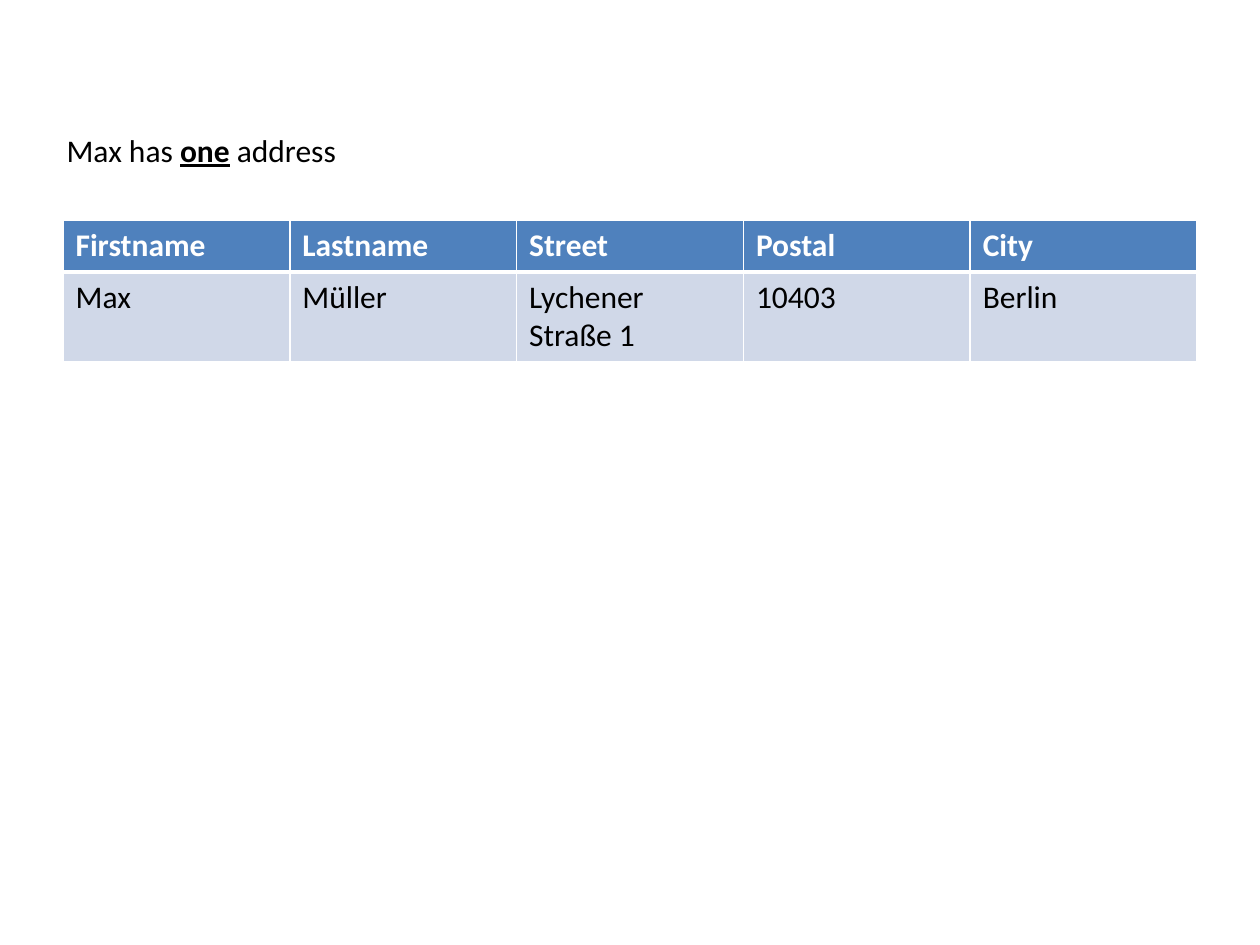
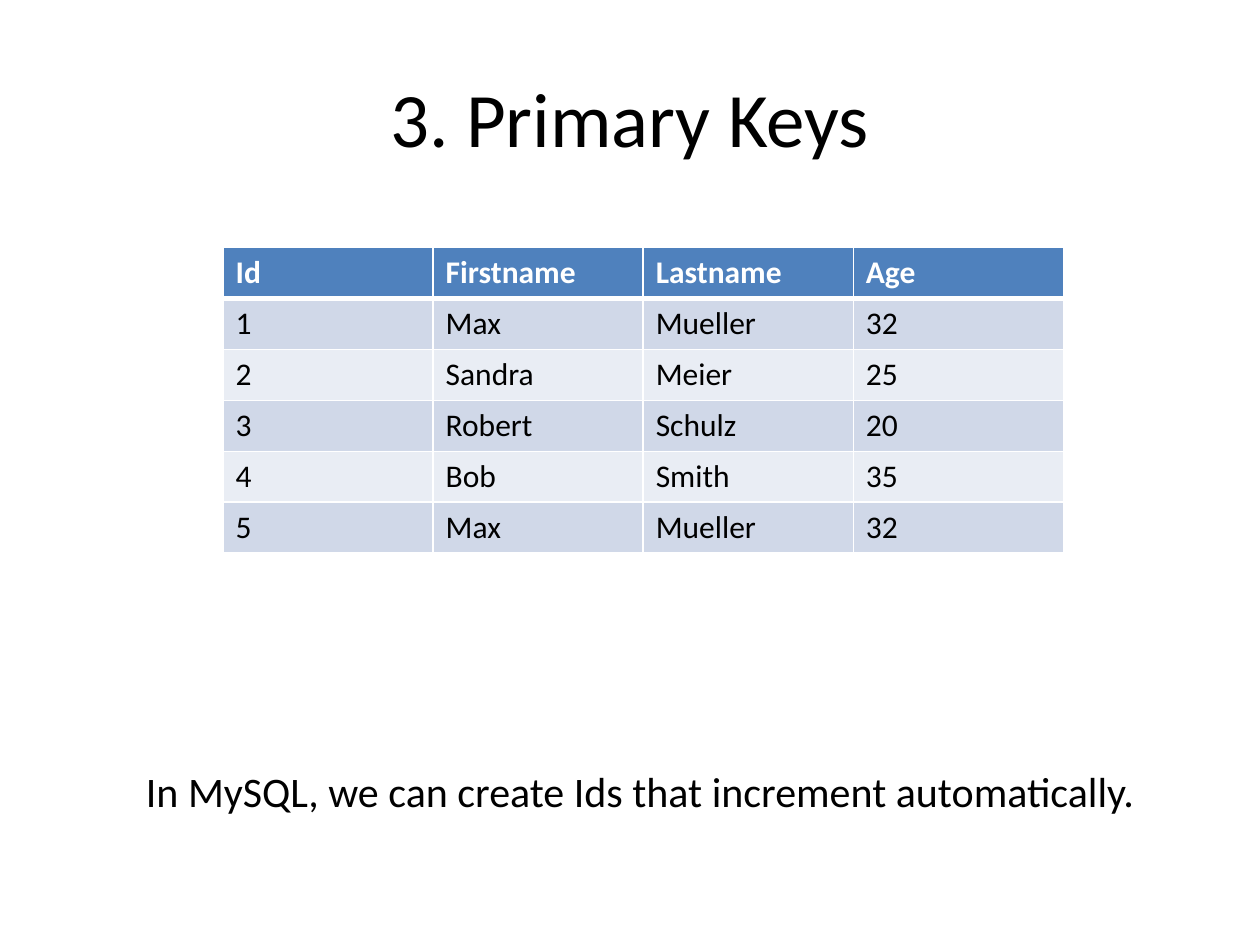
from lxml import etree
from pptx import Presentation
from pptx import util as u
from pptx.dml.color import RGBColor
from pptx.enum import text
from pptx.oxml.ns import qn

FONT = "Calibri"
BLACK, WHITE = "000000", "FFFFFF"
HEADER_FILL = "4F81BD"
BAND_FILLS = ("D0D8E8", "E9EDF4")
HEADER_HEIGHT = 0.41

ADDRESS_ROWS = [
    ("Firstname", "Lastname", "Street", "Postal", "City"),
    ("Max", "Müller", "Lychener Straße 1", "10403", "Berlin"),
]
PERSON_ROWS = [
    ("Id", "Firstname", "Lastname", "Age"),
    ("1", "Max", "Mueller", "32"),
    ("2", "Sandra", "Meier", "25"),
    ("3", "Robert", "Schulz", "20"),
    ("4", "Bob", "Smith", "35"),
    ("5", "Max", "Mueller", "32"),
]


def rgb(value):
    return RGBColor.from_string(value)


def write(paragraph, words, size=18, color=BLACK, bold=False, underline=False):
    run = paragraph.add_run()
    run.text = words
    font = run.font
    font.name, font.size = FONT, u.Pt(size)
    font.bold, font.underline = bold, underline
    font.color.rgb = rgb(color)


def add_line(slide, box, parts, size, align=text.PP_ALIGN.LEFT,
             anchor=text.MSO_ANCHOR.TOP, wrap=False):
    """Add one line of text; parts are pairs of words and their own format."""
    frame = slide.shapes.add_textbox(*map(u.Inches, box)).text_frame
    frame.word_wrap = wrap
    frame.vertical_anchor = anchor
    if not wrap:
        frame.auto_size = text.MSO_AUTO_SIZE.SHAPE_TO_FIT_TEXT
    paragraph = frame.paragraphs[0]
    paragraph.alignment = align
    for words, style in parts:
        write(paragraph, words, size=size, **style)


def add_title(slide, words):
    add_line(slide, (0.5, 0.3, 9, 1.25), [(words, {})], 44,
             align=text.PP_ALIGN.CENTER, anchor=text.MSO_ANCHOR.MIDDLE, wrap=True)


def set_borders(cell, bottom):
    properties = cell._tc.get_or_add_tcPr()
    for side, width in (("L", 1), ("R", 1), ("T", 1), ("B", bottom)):
        line = etree.SubElement(properties, qn("a:ln" + side), w=str(u.Pt(width)))
        fill = etree.SubElement(line, qn("a:solidFill"))
        etree.SubElement(fill, qn("a:srgbClr"), val=WHITE)


def add_data_table(slide, box, rows):
    """Add a table with a header row, equal columns and banded equal body rows."""
    left, top, width, height = box
    table = slide.shapes.add_table(
        len(rows), len(rows[0]), *map(u.Inches, box)).table
    for column in table.columns:
        column.width = u.Inches(width / len(rows[0]))
    body_height = (height - HEADER_HEIGHT) / (len(rows) - 1)
    for r, values in enumerate(rows):
        is_header = r == 0
        table.rows[r].height = u.Inches(HEADER_HEIGHT if is_header else body_height)
        row_fill = HEADER_FILL if is_header else BAND_FILLS[(r - 1) % 2]
        for c, value in enumerate(values):
            cell = table.cell(r, c)
            # The schema wants borders before the fill.
            set_borders(cell, bottom=3 if is_header else 1)
            cell.fill.solid()
            cell.fill.fore_color.rgb = rgb(row_fill)
            write(cell.text_frame.paragraphs[0], value,
                  color=WHITE if is_header else BLACK, bold=is_header)


def build_address_slide(slide):
    add_data_table(slide, (0.5, 1.75, 9, 1.11), ADDRESS_ROWS)
    sentence = [("Max has ", {}),
                ("one", {"bold": True, "underline": True}),
                (" address", {})]
    add_line(slide, (0.43, 0.99, 2.36, 0.4), sentence, 18)


def build_primary_keys_slide(slide):
    add_title(slide, "3. Primary Keys")
    add_data_table(slide, (1.77, 1.96, 6.67, 2.43), PERSON_ROWS)
    remark = "In MySQL, we can create Ids that increment automatically."
    add_line(slide, (1.06, 6.03, 8.12, 0.5), [(remark, {})], 24)


def main():
    deck = Presentation()
    deck.slide_width, deck.slide_height = u.Inches(10), u.Inches(7.5)
    blank = deck.slide_layouts[6]
    for build in (build_address_slide, build_primary_keys_slide):
        build(deck.slides.add_slide(blank))
    deck.save("out.pptx")


if __name__ == "__main__":
    main()
